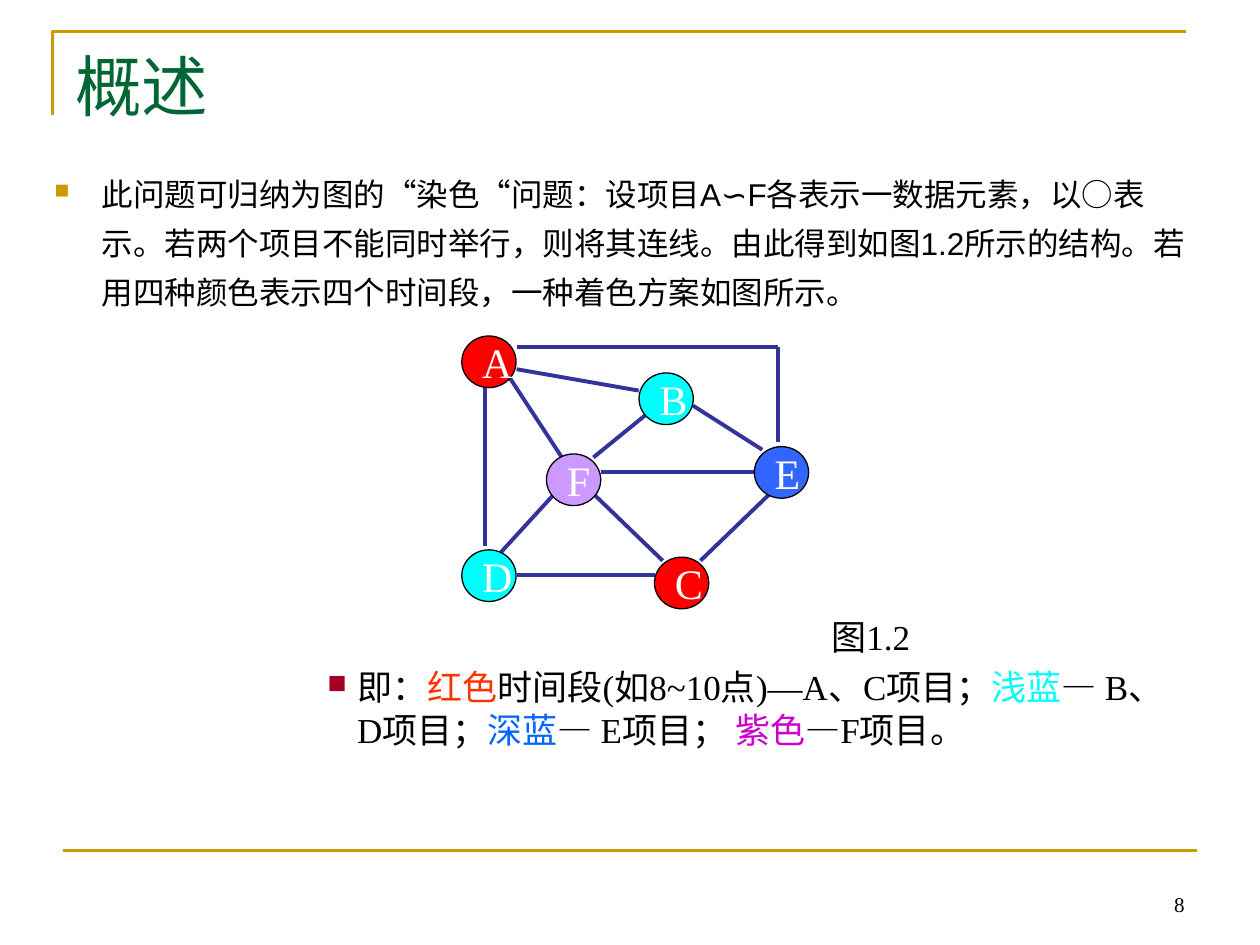
"""Build the overview slide with the graph-colouring diagram of projects A to F."""
from dataclasses import dataclass
from typing import NamedTuple

import lxml.etree
import pptx
import pptx.dml.color
import pptx.enum.shapes
import pptx.enum.text
import pptx.oxml.ns
import pptx.util

Pt = pptx.util.Pt
Align = pptx.enum.text.PP_ALIGN
Anchor = pptx.enum.text.MSO_ANCHOR


@dataclass(frozen=True)
class Theme:
    sans: str = "Arial"
    serif: str = "Times New Roman"
    symbols: str = "Wingdings"
    title_size: float = 38
    node_size: float = 24
    scheme_size: float = 20
    body_size: float = 18
    number_size: float = 12
    text: str = "000000"
    title: str = "006633"
    rule: str = "CC9900"
    scheme_bullet: str = "A50021"
    edge: str = "333399"
    node_text: str = "FFFFFF"
    red: str = "FF0000"
    cyan: str = "00FFFF"
    blue: str = "3366FF"
    violet: str = "CC99FF"
    red_word: str = "FF3300"
    blue_word: str = "0066FF"
    violet_word: str = "CC00CC"


class Node(NamedTuple):
    label: str
    left: float
    top: float
    fill: str


class Edge(NamedTuple):
    x1: float
    y1: float
    x2: float
    y2: float


class Bullet(NamedTuple):
    color: str
    percent: int


class Span(NamedTuple):
    text: str
    color: str


THEME = Theme()
NODE_WIDTH, NODE_HEIGHT = 31, 29.5
NODES = [
    Node("F", 312.3, 259.4, THEME.violet),
    Node("C", 374, 318.4, THEME.red),
    Node("E", 431.1, 255.2, THEME.blue),
    Node("A", 263.9, 192, THEME.red),
    Node("B", 365.2, 213.1, THEME.cyan),
    Node("D", 263.9, 314.2, THEME.cyan),
]
EDGES = [
    Edge(343.4, 269.8, 431.3, 269.8),
    Edge(316.8, 282.2, 285.8, 316.1),
    Edge(277.4, 218.9, 277.4, 311.8),
    Edge(295.2, 211, 365, 223.2),
    Edge(439.9, 282.2, 400.3, 320.4),
    Edge(339.1, 282.2, 378.7, 320.4),
    Edge(290.9, 215.3, 321.1, 261.4),
    Edge(370.1, 236.2, 339.1, 261.4),
    Edge(295.2, 328.8, 374.4, 328.8),
    Edge(396, 231.8, 435.6, 257),
    Edge(295.2, 198.2, 444.5, 198.2),
    Edge(444.5, 198.2, 444.5, 252.7),
]
OVERVIEW = ("此问题可归纳为图的“染色“问题：设项目A∽F各表示一数据元素，以○表示。"
            "若两个项目不能同时举行，则将其连线。由此得到如图1.2所示的结构。"
            "若用四种颜色表示四个时间段，一种着色方案如图所示。")
SCHEME = [
    Span("即：", THEME.text),
    Span("红色", THEME.red_word),
    Span("时间段(如8~10点)—A、C项目；", THEME.text),
    Span("浅蓝", THEME.cyan),
    Span("— B、D项目；", THEME.text),
    Span("深蓝", THEME.blue_word),
    Span("— E项目； ", THEME.text),
    Span("紫色", THEME.violet_word),
    Span("—F项目。", THEME.text),
]


def rgb(value: str) -> pptx.dml.color.RGBColor:
    """Turn a hex value into a colour."""
    return pptx.dml.color.RGBColor.from_string(value)


def add_bullet(paragraph, bullet: Bullet) -> None:
    """Give a paragraph a coloured square bullet."""
    properties = paragraph._p.get_or_add_pPr()
    qn = pptx.oxml.ns.qn
    color = lxml.etree.SubElement(properties, qn("a:buClr"))
    lxml.etree.SubElement(color, qn("a:srgbClr"), val=bullet.color)
    lxml.etree.SubElement(properties, qn("a:buSzPct"), val=str(bullet.percent * 1000))
    lxml.etree.SubElement(properties, qn("a:buFont"), typeface=THEME.symbols, charset="2")
    lxml.etree.SubElement(properties, qn("a:buChar"), char="n")


def write(paragraph, text, *, size, font=THEME.serif, color=THEME.text, align=Align.LEFT,
          margin=0, indent=0, spacing=None, before=0, bullet=None) -> None:
    """Write a string or a list of spans into a paragraph."""
    paragraph.alignment = align
    paragraph.line_spacing = spacing
    paragraph.space_before = Pt(before)
    properties = paragraph._p.get_or_add_pPr()
    properties.set("marL", str(Pt(margin)))
    properties.set("indent", str(Pt(indent)))
    properties.set("hangingPunct", "0")
    if bullet:
        add_bullet(paragraph, bullet)
    for span in [Span(text, color)] if isinstance(text, str) else text:
        run = paragraph.add_run()
        run.text = span.text
        run.font.name = font
        run.font.size = Pt(size)
        run.font.color.rgb = rgb(span.color)


def add_frame(slide, left: float, top: float, width: float, height: float, anchor=Anchor.TOP):
    """Add a wrapping text box and return its text frame."""
    frame = slide.shapes.add_textbox(Pt(left), Pt(top), Pt(width), Pt(height)).text_frame
    frame.word_wrap = True
    frame.vertical_anchor = anchor
    return frame


def draw_edge(slide, edge: Edge, color: str, weight: float) -> None:
    """Draw a straight line without shadow."""
    line = slide.shapes.add_connector(
        pptx.enum.shapes.MSO_CONNECTOR.STRAIGHT, *(Pt(value) for value in edge))
    line.line.color.rgb = rgb(color)
    line.line.width = Pt(weight)
    lxml.etree.SubElement(line._element.spPr, pptx.oxml.ns.qn("a:effectLst"))


def draw_node(slide, node: Node) -> None:
    """Draw one labelled project circle."""
    circle = slide.shapes.add_shape(
        pptx.enum.shapes.MSO_SHAPE.OVAL,
        Pt(node.left), Pt(node.top), Pt(NODE_WIDTH), Pt(NODE_HEIGHT))
    circle.shadow.inherit = False
    circle.fill.solid()
    circle.fill.fore_color.rgb = rgb(node.fill)
    circle.line.color.rgb = rgb(THEME.text)
    circle.line.width = Pt(0.75)
    circle.text_frame.word_wrap = False
    circle.text_frame.vertical_anchor = Anchor.MIDDLE
    write(circle.text_frame.paragraphs[0], node.label,
          size=THEME.node_size, color=THEME.node_text)


def draw_corner(slide) -> None:
    """Draw the angled rule around the title."""
    builder = slide.shapes.build_freeform(30, 66, scale=Pt(1))
    builder.add_line_segments([(30, 18), (678, 18)], close=False)
    corner = builder.convert_to_shape()
    corner.shadow.inherit = False
    corner.fill.background()
    corner.line.color.rgb = rgb(THEME.rule)
    corner.line.width = Pt(1.5)


def main() -> None:
    """Build and save the slide."""
    deck = pptx.Presentation()
    deck.slide_width, deck.slide_height = Pt(720), Pt(540)
    slide = deck.slides.add_slide(deck.slide_layouts[6])
    draw_corner(slide)
    draw_edge(slide, Edge(36, 486, 684, 486), THEME.rule, 1.5)
    overview = add_frame(slide, 24, 90, 672, 108)
    write(overview.paragraphs[0], OVERVIEW, size=THEME.body_size, font=THEME.sans,
          margin=27, indent=-27, spacing=1.3, bullet=Bullet(THEME.rule, 65))
    for edge in EDGES:
        draw_edge(slide, edge, THEME.edge, 2.25)
    for node in NODES:
        draw_node(slide, node)
    scheme = add_frame(slide, 36, 348, 648, 84)
    write(scheme.paragraphs[0], "图1.2", size=THEME.scheme_size, margin=432)
    write(scheme.add_paragraph(), SCHEME, size=THEME.scheme_size, margin=161, indent=-17,
          before=5, bullet=Bullet(THEME.scheme_bullet, 75))
    title = add_frame(slide, 36, 22, 648, 90)
    write(title.paragraphs[0], "概述", size=THEME.title_size, color=THEME.title)
    number = add_frame(slide, 516, 491.6, 168, 36, Anchor.BOTTOM)
    write(number.paragraphs[0], "8", size=THEME.number_size, align=Align.RIGHT)
    deck.save("out.pptx")


if __name__ == "__main__":
    main()
